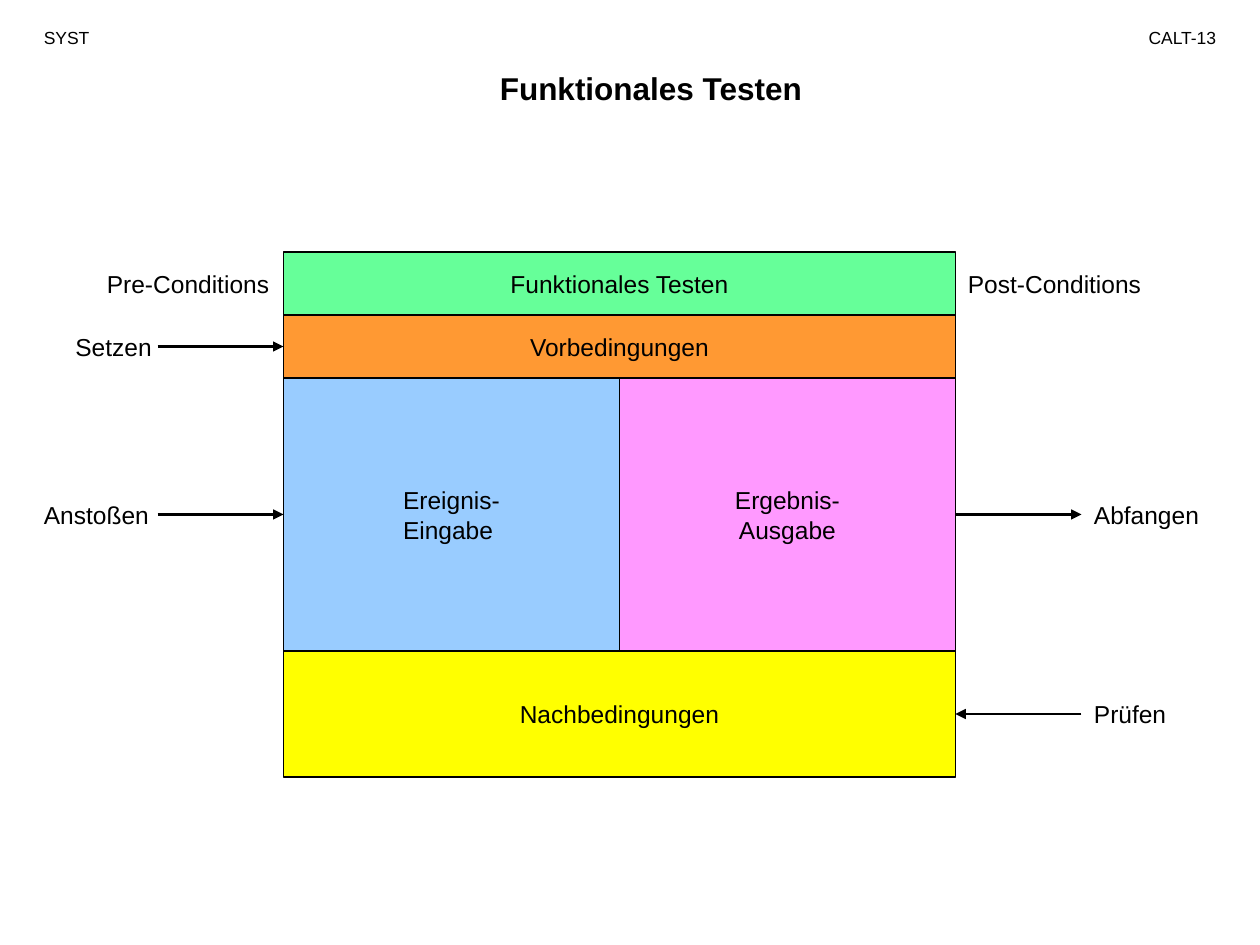
from lxml.etree import SubElement
from pptx import Presentation
from pptx.dml.color import RGBColor
from pptx.enum.shapes import MSO_CONNECTOR, MSO_SHAPE
from pptx.enum.text import MSO_ANCHOR, PP_ALIGN
from pptx.oxml.ns import qn
from pptx.util import Inches, Pt

COLORS = {
    "ink": "000000", "green": "66FF99", "orange": "FF9933",
    "blue": "99CCFF", "pink": "FF99FF", "yellow": "FFFF00",
}
FONT = "Arial"
TITLE = "Funktionales Testen"

# The grid has 120 x 90 units on a slide of 10 x 7.5 inches.
UNIT = Inches(10) / 120
BOX_LEFT, BOX_TOP, BOX_WIDTH = 27, 24, 64
BOX_RIGHT = BOX_LEFT + BOX_WIDTH
ARROW_LENGTH = 12
LABEL_HEIGHT = 4

# Each row: height, then its equally wide cells (lines, colour).
ROWS = [
    (6, [(["Funktionales Testen"], "green")]),
    (6, [(["Vorbedingungen"], "orange")]),
    (26, [(["Ereignis-", "Eingabe "], "blue"), (["Ergebnis-", "Ausgabe"], "pink")]),
    (12, [(["Nachbedingungen"], "yellow")]),
]
# Text, row, left, width
LABELS = [
    ("Pre-Conditions", 0, 9, 19),
    ("Post-Conditions", 0, BOX_RIGHT, 19),
    ("Setzen", 1, 6, 14),
    ("Anstoßen", 2, 3, 14),
    ("Abfangen", 2, BOX_RIGHT + ARROW_LENGTH, 14),
    ("Prüfen", 3, BOX_RIGHT + ARROW_LENGTH, 14),
]
# Row, start, end
ARROWS = [
    (1, BOX_LEFT - ARROW_LENGTH, BOX_LEFT),
    (2, BOX_LEFT - ARROW_LENGTH, BOX_LEFT),
    (2, BOX_RIGHT, BOX_RIGHT + ARROW_LENGTH),
    (3, BOX_RIGHT + ARROW_LENGTH, BOX_RIGHT),
]
# Text, left, alignment
HEADERS = [("SYST", 3, PP_ALIGN.LEFT), ("CALT-13", 106, PP_ALIGN.RIGHT)]


def color(name):
    return RGBColor.from_string(COLORS[name])


def grid(*values):
    return [round(value * UNIT) for value in values]


def write(shape, lines, size, align, anchor=MSO_ANCHOR.TOP, wrap=True, bold=False):
    frame = shape.text_frame
    frame.word_wrap = wrap
    frame.vertical_anchor = anchor
    frame.text = "\n".join(lines)
    for paragraph in frame.paragraphs:
        paragraph.alignment = align
        paragraph.space_before = Pt(0)
        font = paragraph.font
        font.name, font.size, font.bold = FONT, Pt(size), bold
        font.color.rgb = color("ink")


def add_cell(slide, place, lines, fill):
    shape = slide.shapes.add_shape(MSO_SHAPE.RECTANGLE, *grid(*place))
    shape.shadow.inherit = False
    shape.fill.solid()
    shape.fill.fore_color.rgb = color(fill)
    shape.line.color.rgb = color("ink")
    shape.line.width = Pt(0.75)
    write(shape, lines, 14, PP_ALIGN.CENTER, MSO_ANCHOR.MIDDLE, wrap=False)


def add_arrow(slide, start, end, y):
    arrow = slide.shapes.add_connector(MSO_CONNECTOR.STRAIGHT, *grid(start, y, end, y))
    arrow.line.color.rgb = color("ink")
    arrow.line.width = Pt(1.5)
    SubElement(arrow.line._get_or_add_ln(), qn("a:tailEnd"), type="triangle")
    SubElement(arrow._element.spPr, qn("a:effectLst"))


def main():
    presentation = Presentation()
    presentation.slide_width, presentation.slide_height = Inches(10), Inches(7.5)
    slide = presentation.slides.add_slide(presentation.slide_layouts[5])

    title = slide.shapes.title
    title.left, title.top, title.width, title.height = grid(26, 6, 72, 4.8)
    write(title, [TITLE], 18, PP_ALIGN.CENTER, bold=True)

    for text, left, align in HEADERS:
        box = slide.shapes.add_textbox(*grid(left, 2, 11, 3.2))
        write(box, [text], 10, align)

    centers = []
    top = BOX_TOP
    for height, cells in ROWS:
        width = BOX_WIDTH / len(cells)
        for column, (lines, fill) in enumerate(cells):
            add_cell(slide, (BOX_LEFT + column * width, top, width, height), lines, fill)
        centers.append(top + height / 2)
        top += height

    for text, row, left, width in LABELS:
        place = grid(left, centers[row] - LABEL_HEIGHT / 2, width, LABEL_HEIGHT)
        write(slide.shapes.add_textbox(*place), [text], 14, PP_ALIGN.LEFT)

    for row, start, end in ARROWS:
        add_arrow(slide, start, end, centers[row])

    presentation.save("out.pptx")


if __name__ == "__main__":
    main()
